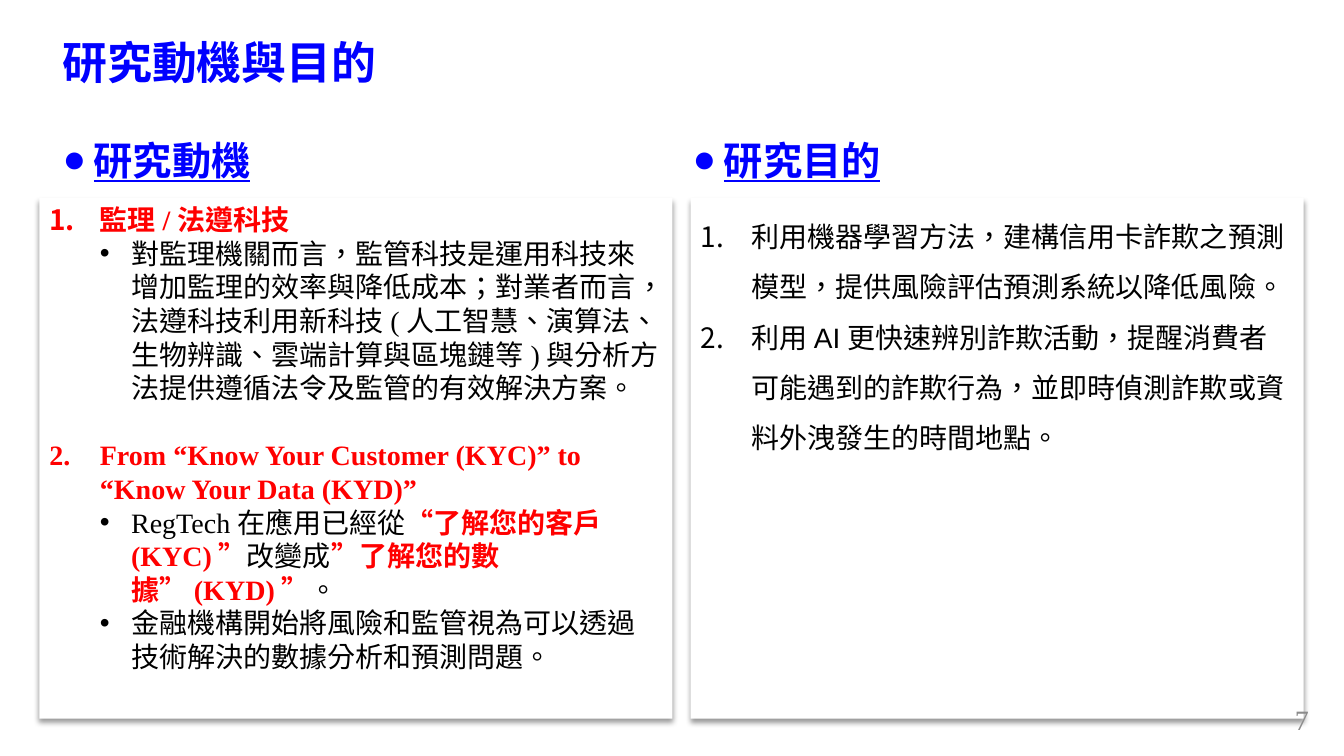
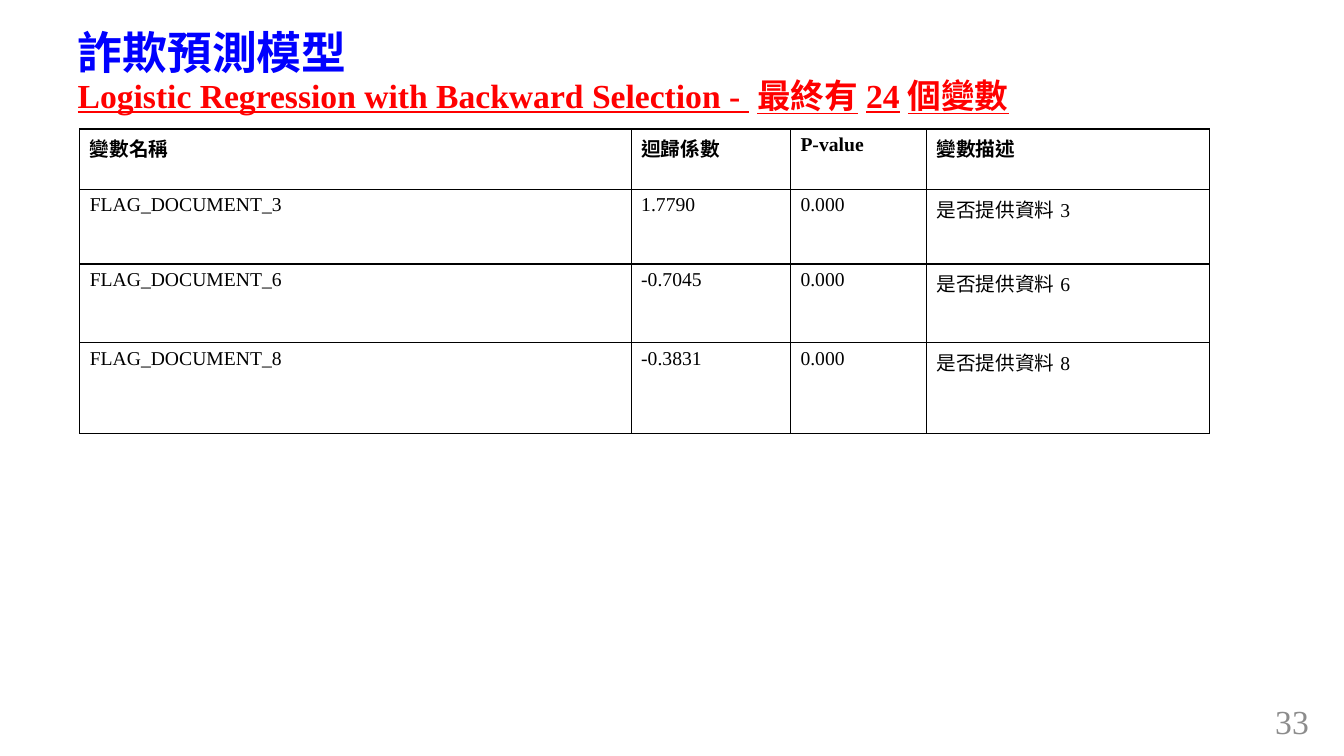
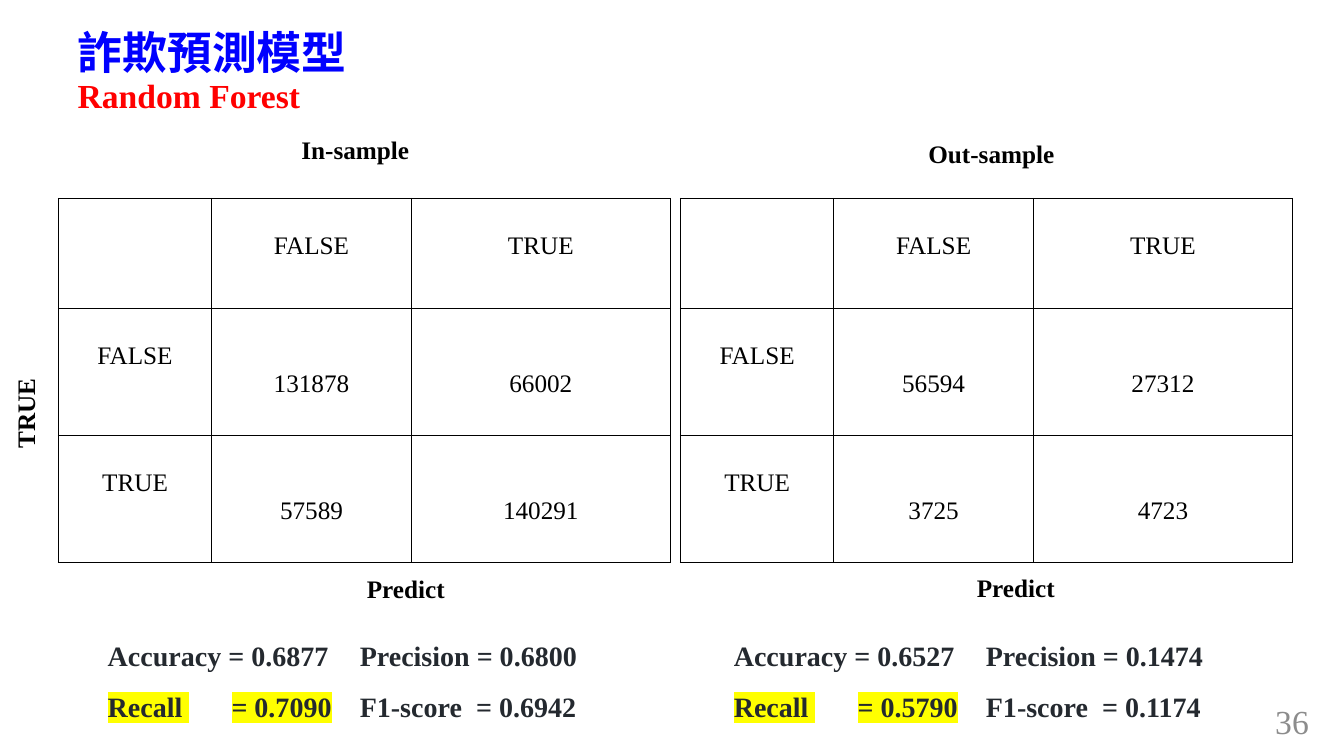
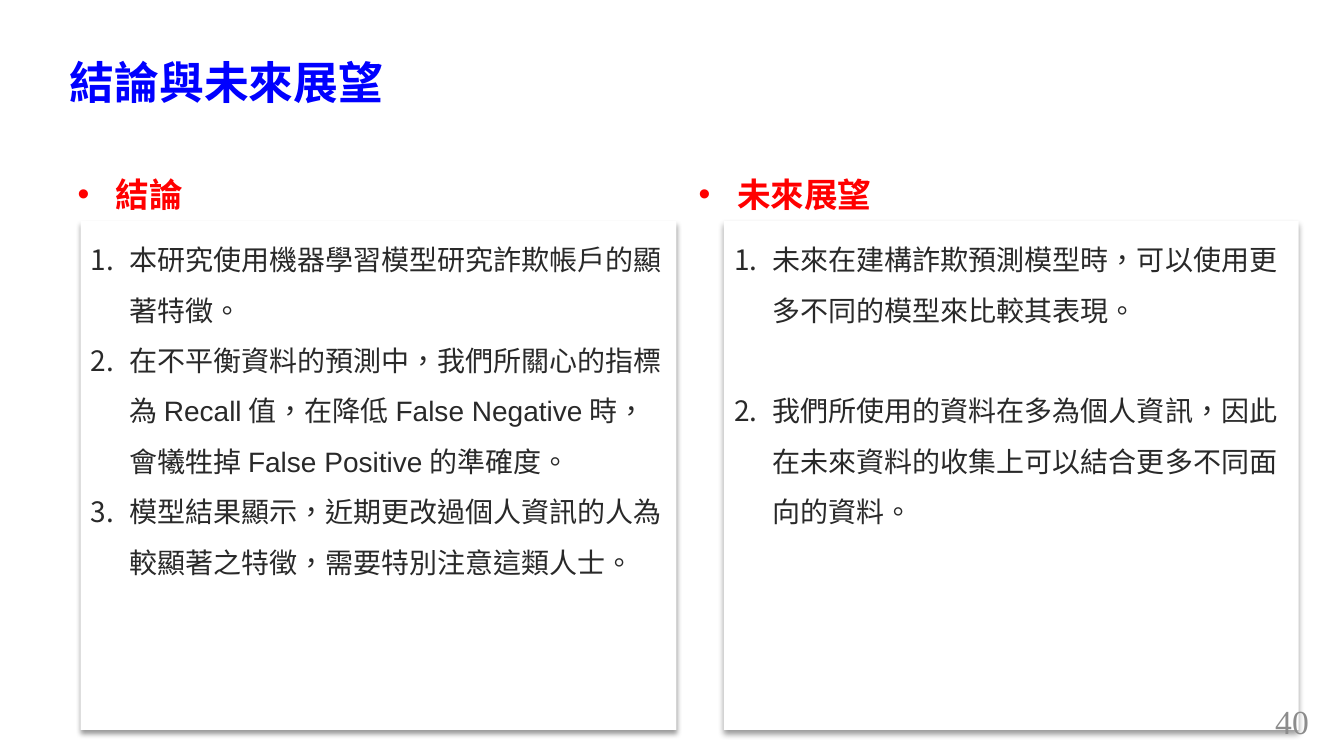
from lxml import etree
from pptx import Presentation
from pptx.dml.color import RGBColor
from pptx.enum.text import MSO_ANCHOR as Anchor, MSO_AUTO_SIZE as AutoSize, PP_ALIGN as Align
from pptx.oxml.ns import qn
from pptx.util import Inches, Pt

BLUE = RGBColor(0x00, 0x00, 0xFF)
RED = RGBColor(0xFF, 0x00, 0x00)
BLACK = RGBColor(0x00, 0x00, 0x00)
WHITE = RGBColor(0xFF, 0xFF, 0xFF)
GRAY = RGBColor(0x8C, 0x8C, 0x8C)
CHARCOAL = RGBColor(0x29, 0x29, 0x29)
INK = RGBColor(0x24, 0x29, 0x2F)
YELLOW = RGBColor(0xFF, 0xFF, 0x00)
SERIF, SANS, CHINESE = "Times New Roman", "Arial", "Noto Sans CJK SC"
NUMBERED = "arabicPeriod"
LINE_RATIO = 1.2
COMPARISON, TITLE_ONLY = 4, 5

POINT = dict(level=1, bullet="•", indent=0.31, left=0.81, color=BLACK, bold=False)
KEY = dict(color=RED, bold=True)
NUMBER_LIST = dict(size=20, font=SANS, bullet=NUMBERED, bullet_font=CHINESE, spacing=1.5)

MOTIVATION = dict(
    title="研究動機與目的", title_at=(0.52, 0.34, 11.5, 0.74),
    number="7", number_at=(10.08, 6.92, 3, 0.4), number_size=20, number_anchor=Anchor.TOP,
    heading_format=dict(size=28, color=BLUE, underline=True, bullet="●", indent=0.31),
    columns=[
        dict(heading="研究動機", heading_at=(0.52, 1.07, 5.91, 0.71), at=(0.39, 1.96, 6.28, 5.17),
             format=dict(size=20, color=RED, bold=True, bullet=NUMBERED, indent=0.5, spacing=1),
             items=[
                 dict(runs=["監理/法遵科技"], bullet_font=CHINESE),
                 dict(runs=["對監理機關而言，監管科技是運用科技來增加監理的效率與降低成本；對業者而言，"
                            "法遵科技利用新科技(人工智慧、演算法、生物辨識、雲端計算與區塊鏈等)"
                            "與分析方法提供遵循法令及監管的有效解決方案。"], **POINT),
                 dict(runs=["From “Know Your Customer (KYC)” to “Know Your Data (KYD)”"],
                      bullet_font=SERIF, before=24),
                 dict(runs=["RegTech在應用已經從", ("“了解您的客戶 (KYC)”", KEY), "改變成",
                            ("”了解您的數據”(KYD)”", KEY), "。"], **POINT),
                 dict(runs=["金融機構開始將風險和監管視為可以透過技術解決的數據分析和預測問題。"], **POINT),
             ]),
        dict(heading="研究目的", heading_at=(6.77, 1.07, 5.91, 0.71), at=(6.85, 1.96, 6.08, 5.17),
             format=dict(NUMBER_LIST, color=BLACK, indent=0.5),
             items=[
                 "利用機器學習方法，建構信用卡詐欺之預測模型，提供風險評估預測系統以降低風險。",
                 "利用AI更快速辨別詐欺活動，提醒消費者可能遇到的詐欺行為，並即時偵測詐欺或資料外洩發生的時間地點。",
             ]),
    ])

CONCLUSION_FORMAT = dict(NUMBER_LIST, color=CHARCOAL, indent=0.38)
CONCLUSION = dict(
    title="結論與未來展望", title_at=(0.59, 0.54, 12.16, 0.59), number="40",
    heading_format=dict(size=24, color=RED, bullet="•", indent=0.38),
    columns=[
        dict(heading="結論", heading_at=(0.67, 1.48, 5.91, 0.62), at=(0.8, 2.19, 5.91, 5.05),
             format=CONCLUSION_FORMAT,
             items=[
                 "本研究使用機器學習模型研究詐欺帳戶的顯著特徵。",
                 "在不平衡資料的預測中，我們所關心的指標為Recall值，在降低False Negative時，"
                 "會犧牲掉False Positive的準確度。",
                 "模型結果顯示，近期更改過個人資訊的人為較顯著之特徵，需要特別注意這類人士。",
             ]),
        dict(heading="未來展望", heading_at=(6.83, 1.48, 5.91, 0.62), at=(7.18, 2.19, 5.7, 5.05),
             format=CONCLUSION_FORMAT,
             items=[
                 "未來在建構詐欺預測模型時，可以使用更多不同的模型來比較其表現。",
                 dict(runs=["我們所使用的資料在多為個人資訊，因此在未來資料的收集上可以結合更多不同面向的資料。"],
                      before=36),
             ]),
    ])

MODEL_TITLE = "詐欺預測模型"
MODEL_TITLE_AT = (0.67, 0.35, 11.5, 0.74)
VARIABLES = [
    ("變數名稱", "迴歸係數", "P-value", "變數描述"),
    ("FLAG_DOCUMENT_3", "1.7790", "0.000", "是否提供資料3"),
    ("FLAG_DOCUMENT_6", "-0.7045", "0.000", "是否提供資料6"),
    ("FLAG_DOCUMENT_8", "-0.3831", "0.000", "是否提供資料8"),
]
SAMPLES = [
    dict(name="In-sample", name_at=(2.89, 1.28, 1.28, 0.4), left=0.58,
         counts=[("131878", "66002"), ("57589", "140291")],
         predict_at=(3.54, 5.64, 0.98, 0.4), metrics_at=(0.97, 6.12, 5.8, 1.05),
         metrics=("0.6877", "0.6800", "0.7090", "0.6942")),
    dict(name="Out-sample", name_at=(9.11, 1.32, 1.46, 0.4), left=6.75,
         counts=[("56594", "27312"), ("3725", "4723")],
         predict_at=(9.59, 5.63, 0.98, 0.4), metrics_at=(7.18, 6.12, 5.8, 1.05),
         metrics=("0.6527", "0.1474", "0.5790", "0.1174")),
]


def add_element(parent, tag, **attributes):
    element = etree.SubElement(parent, qn(tag))
    for name, value in attributes.items():
        element.set(name, str(value))
    return element


def format_run(run, size, color, font=SERIF, bold=False, underline=False,
               highlight=None, tracking=None, **_):
    run.font.size = Pt(size)
    run.font.bold = bold
    run.font.underline = underline
    run.font.color.rgb = color
    run.font.name = font
    properties = run.font._element
    properties.set("lang", "zh-TW")
    if tracking:
        properties.set("spc", str(tracking * 100))
    latin = properties.find(qn("a:latin"))
    east_asian = add_element(properties, "a:ea", typeface=CHINESE)
    latin.addnext(east_asian)
    if highlight is not None:
        marker = add_element(properties, "a:highlight")
        add_element(marker, "a:srgbClr", val=highlight)
        latin.addprevious(marker)


def format_paragraph(paragraph, size, align=Align.LEFT, spacing=None, before=0, level=0,
                     bullet=None, bullet_font=None, indent=0, left=None, tab=None, **_):
    paragraph.alignment = align
    paragraph.level = level
    paragraph.space_before = Pt(before)
    if spacing:
        paragraph.line_spacing = Pt(round(size * LINE_RATIO * spacing))
    properties = paragraph._p.get_or_add_pPr()
    properties.set("marL", str(Inches(indent if left is None else left)))
    properties.set("indent", str(-Inches(indent)))
    if bullet_font:
        add_element(properties, "a:buFont", typeface=bullet_font)
    if bullet == NUMBERED:
        add_element(properties, "a:buAutoNum", type=NUMBERED)
    elif bullet:
        add_element(properties, "a:buChar", char=bullet)
    else:
        add_element(properties, "a:buNone")
    if tab:
        tabs = add_element(properties, "a:tabLst")
        add_element(tabs, "a:tab", pos=Inches(tab), algn="l")


def write(frame, paragraphs, **defaults):
    for index, item in enumerate(paragraphs):
        if isinstance(item, str):
            item = dict(runs=[item])
        style = {**defaults, **item}
        paragraph = frame.add_paragraph() if index else frame.paragraphs[0]
        format_paragraph(paragraph, **style)
        for part in item["runs"]:
            text, changes = (part, {}) if isinstance(part, str) else part
            run = paragraph.add_run()
            run.text = text
            format_run(run, **{**style, **changes})


def place(shape, at):
    shape.left, shape.top, shape.width, shape.height = map(Inches, at)


def fill_placeholder(shape, at, paragraphs, anchor=Anchor.TOP, **style):
    place(shape, at)
    frame = shape.text_frame
    frame.auto_size = AutoSize.NONE
    frame.word_wrap = True
    frame.vertical_anchor = anchor
    write(frame, paragraphs, **style)


def add_text(slide, at, paragraphs, wrap=True, anchor=Anchor.TOP, vertical=None, **style):
    frame = slide.shapes.add_textbox(*map(Inches, at)).text_frame
    frame.word_wrap = wrap
    frame.auto_size = AutoSize.NONE if wrap else AutoSize.SHAPE_TO_FIT_TEXT
    frame.vertical_anchor = anchor
    if vertical:
        frame._txBody.bodyPr.set("vert", vertical)
    write(frame, paragraphs, **style)


def add_label(slide, at, text, **style):
    add_text(slide, at, [text], wrap=False, size=18, color=BLACK, bold=True, **style)


def add_slide(presentation, layout, title, title_at, number, title_anchor=Anchor.TOP):
    slide = presentation.slides.add_slide(presentation.slide_layouts[layout])
    fill_placeholder(slide.shapes.title, title_at, title, anchor=title_anchor,
                     size=32, color=BLUE, bold=True, spacing=0.9)
    return slide


def add_number(slide, number, at=(10.08, 6.95, 3, 0.4), size=24, anchor=Anchor.MIDDLE):
    add_text(slide, at, [number], anchor=anchor, size=size, color=GRAY, align=Align.RIGHT)


def add_card_style(shape):
    shape.fill.solid()
    shape.fill.fore_color.rgb = WHITE
    shape.line.fill.background()
    effects = add_element(shape._element.spPr, "a:effectLst")
    shadow = add_element(effects, "a:outerShdw", blurRad=Pt(4), dist=Pt(3),
                         dir=90 * 60000, algn="t", rotWithShape=0)
    color = add_element(shadow, "a:srgbClr", val=BLACK)
    add_element(color, "a:alpha", val=40000)


def add_comparison(presentation, content):
    slide = add_slide(presentation, COMPARISON, [content["title"]], content["title_at"],
                      content["number"])
    holders = {shape.placeholder_format.idx: shape for shape in slide.placeholders}
    for index, column in enumerate(content["columns"]):
        fill_placeholder(holders[2 * index + 1], column["heading_at"], [column["heading"]],
                         font=CHINESE, bold=True, align=Align.JUSTIFY, spacing=1.5,
                         **content["heading_format"])
        card = holders[2 * index + 2]
        fill_placeholder(card, column["at"], column["items"], **column["format"])
        add_card_style(card)
    add_number(slide, content["number"], content.get("number_at", (10.08, 6.95, 3, 0.4)),
               content.get("number_size", 24), content.get("number_anchor", Anchor.MIDDLE))


def add_model_slide(presentation, subtitle, number, **style):
    title = [MODEL_TITLE, dict(runs=[subtitle], size=24, color=RED, **style)]
    slide = add_slide(presentation, TITLE_ONLY, title, MODEL_TITLE_AT, number, Anchor.MIDDLE)
    add_number(slide, number)
    return slide


def set_borders(cell):
    cell.fill.background()
    properties = cell._tc.get_or_add_tcPr()
    for index, side in enumerate(("a:lnL", "a:lnR", "a:lnT", "a:lnB")):
        line = add_element(properties, side, w=Pt(1))
        fill = add_element(line, "a:solidFill")
        add_element(fill, "a:srgbClr", val=BLACK)
        properties.insert(index, line)


def add_grid(slide, left, top, widths, heights, rows, style_cell):
    table = slide.shapes.add_table(len(rows), len(widths), Inches(left), Inches(top),
                                   Inches(sum(widths)), Inches(sum(heights))).table
    table.first_row = table.horz_banding = False
    for column, width in zip(table.columns, widths):
        column.width = Inches(width)
    for row, height in zip(table.rows, heights):
        row.height = Inches(height)
    for row_index, row in enumerate(rows):
        for column_index, text in enumerate(row):
            cell = table.cell(row_index, column_index)
            set_borders(cell)
            top_margin, style = style_cell(row_index, column_index)
            cell.margin_top = Inches(top_margin)
            if text:
                write(cell.text_frame, [text], color=BLACK, **style)


def variable_style(row, column):
    return 0.05, dict(size=14, bold=row == 0)


def matrix_style(row, column):
    return (0.61 if row and column else 0.33), dict(size=18, align=Align.CENTER)


def add_sample(slide, sample):
    add_label(slide, sample["name_at"], sample["name"])
    rows = [("", "FALSE", "TRUE")]
    rows += [(name, *counts) for name, counts in zip(("FALSE", "TRUE"), sample["counts"])]
    add_grid(slide, sample["left"], 1.97, (1.52, 1.98, 2.57), (1.09, 1.26, 1.26), rows,
             matrix_style)
    add_label(slide, sample["predict_at"], "Predict")
    accuracy, precision, recall, score = sample["metrics"]
    marked = dict(highlight=YELLOW)
    lines = [
        f"Accuracy = {accuracy}\tPrecision = {precision}",
        dict(runs=[("Recall", marked), (" ", dict(marked, tracking=30)),
                   (f"= {recall}", marked), "\tF1-score", (" ", dict(tracking=5)),
                   f"= {score}"]),
    ]
    add_text(slide, sample["metrics_at"], lines, size=20, color=INK, bold=True,
             align=Align.JUSTIFY, spacing=1.5, tab=3)


def main():
    presentation = Presentation()
    presentation.slide_width, presentation.slide_height = Inches(13.33), Inches(7.5)

    add_comparison(presentation, MOTIVATION)

    slide = add_model_slide(
        presentation, "Logistic Regression with Backward Selection - 最終有24個變數", "33",
        underline=True)
    add_grid(slide, 0.79, 1.28, (5.47, 1.58, 1.35, 2.81), (0.6, 0.74, 0.78, 0.9),
             VARIABLES, variable_style)

    slide = add_model_slide(presentation, "Random Forest", "36")
    add_label(slide, (0.05, 3.75, 0.5, 0.8), "TRUE", vertical="vert270")
    for sample in SAMPLES:
        add_sample(slide, sample)

    add_comparison(presentation, CONCLUSION)
    presentation.save("out.pptx")


if __name__ == "__main__":
    main()
